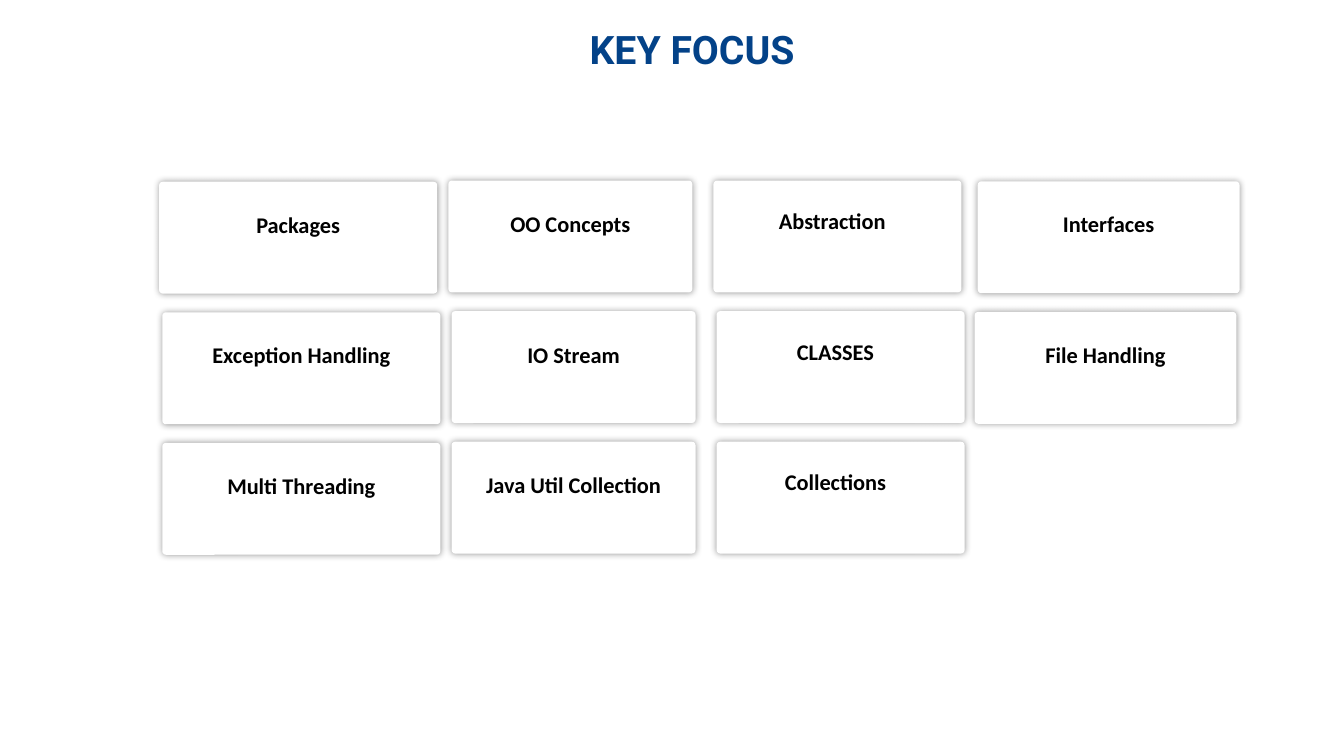
from dataclasses import dataclass

from lxml import etree
from pptx import Presentation
from pptx import util as u
from pptx.dml.color import RGBColor
from pptx.enum import shapes, text
from pptx.oxml import ns


@dataclass(frozen=True)
class Theme:
    card: RGBColor = RGBColor(0xFF, 0xFF, 0xFF)
    shadow: str = "000000"
    title_format = {"name": "Roboto", "size": u.Pt(28), "bold": True}
    title_color: RGBColor = RGBColor(0x03, 0x42, 0x88)
    label_format = {"name": "Calibri", "size": u.Pt(16), "bold": True}
    label_color: RGBColor = RGBColor(0, 0, 0)


@dataclass(frozen=True)
class Column:
    """Card geometry in cm; label offsets are measured from the card."""
    left: float
    width: float
    label_shift: float
    label_drop: float
    row_shift: float
    card_drop: float = 0
    wrap: bool = False


THEME = Theme()
COLUMNS = [
    Column(4.01, 7.01, 0, 0.61, 0.08, 0.03),
    Column(11.3, 6.15, 0, 0.62, 0.08),
    Column(17.98, 6.25, -0.13, 0.55, 0.08),
    Column(24.64, 6.6, 0, 0.6, -0.08, 0.02, True),
]
# Each label comes with the width of its text box in cm.
ROWS = [
    [("Packages", 2.64), ("OO Concepts", 3.58), ("Abstraction", 3.25), ("Interfaces", 7.39)],
    [("Exception Handling", 5.05), ("IO Stream", 2.87), ("CLASSES", 2.49), ("File Handling", 7.39)],
    [("Multi Threading", 4.29), ("Java Util Collection", 4.98), ("Collections", 3.1)],
]
GRID_TOP, ROW_PITCH = 4.55, 3.29
CARD_HEIGHT, LABEL_HEIGHT = 2.82, 0.94


def to_cm(*lengths):
    return [u.Cm(length) for length in lengths]


def write_text(frame, words, font_format, color):
    paragraph = frame.paragraphs[0]
    paragraph.alignment = text.PP_ALIGN.CENTER
    run = paragraph.add_run()
    run.text = words
    for name, value in font_format.items():
        setattr(run.font, name, value)
    run.font.color.rgb = color


def add_glow_shadow(shape):
    """Give the shape a soft shadow that spreads evenly on all sides."""
    shape.shadow.inherit = False
    effects = shape.element.spPr.find(ns.qn("a:effectLst"))
    shadow = etree.SubElement(effects, ns.qn("a:outerShdw"), blurRad=str(u.Pt(5)),
                              dist="0", algn="ctr", rotWithShape="0")
    color = etree.SubElement(shadow, ns.qn("a:srgbClr"), val=THEME.shadow)
    etree.SubElement(color, ns.qn("a:alpha"), val="40000")


def add_title(slide, box, words):
    frame = slide.shapes.add_textbox(*to_cm(*box)).text_frame
    frame_format = {"word_wrap": True, "vertical_anchor": text.MSO_ANCHOR.BOTTOM,
                    "margin_left": 0, "margin_top": 0, "margin_right": 0, "margin_bottom": 0}
    for name, value in frame_format.items():
        setattr(frame, name, value)
    write_text(frame, words, THEME.title_format, THEME.title_color)


def add_card(group, box, column, words, label_width):
    left, top, width, height = box
    card = group.shapes.add_shape(shapes.MSO_SHAPE.ROUNDED_RECTANGLE, *to_cm(*box))
    card.adjustments[0] = 0.033
    card.fill.solid()
    card.fill.fore_color.rgb = THEME.card
    card.line.fill.background()
    add_glow_shadow(card)

    label_left = left + (width - label_width) / 2 + column.label_shift
    label = group.shapes.add_textbox(
        *to_cm(label_left, top + column.label_drop, label_width, LABEL_HEIGHT))
    label.text_frame.word_wrap = column.wrap
    label.text_frame.auto_size = text.MSO_AUTO_SIZE.SHAPE_TO_FIT_TEXT
    write_text(label.text_frame, words, THEME.label_format, THEME.label_color)


def add_card_grid(slide, top):
    for row_index, row in enumerate(ROWS):
        group = slide.shapes.add_group_shape()
        for column, (words, label_width) in zip(COLUMNS, row):
            left = column.left + (column.row_shift if row_index else 0)
            card_top = top + row_index * ROW_PITCH + column.card_drop
            box = (left, card_top, column.width, CARD_HEIGHT)
            add_card(group, box, column, words, label_width)


def main():
    presentation = Presentation()
    presentation.slide_width, presentation.slide_height = to_cm(33.87, 19.05)
    slide = presentation.slides.add_slide(presentation.slide_layouts[6])
    add_card_grid(slide, GRID_TOP)
    add_title(slide, (7.85, 0.41, 19.18, 1.42), "KEY FOCUS")
    presentation.save("out.pptx")


if __name__ == "__main__":
    main()
